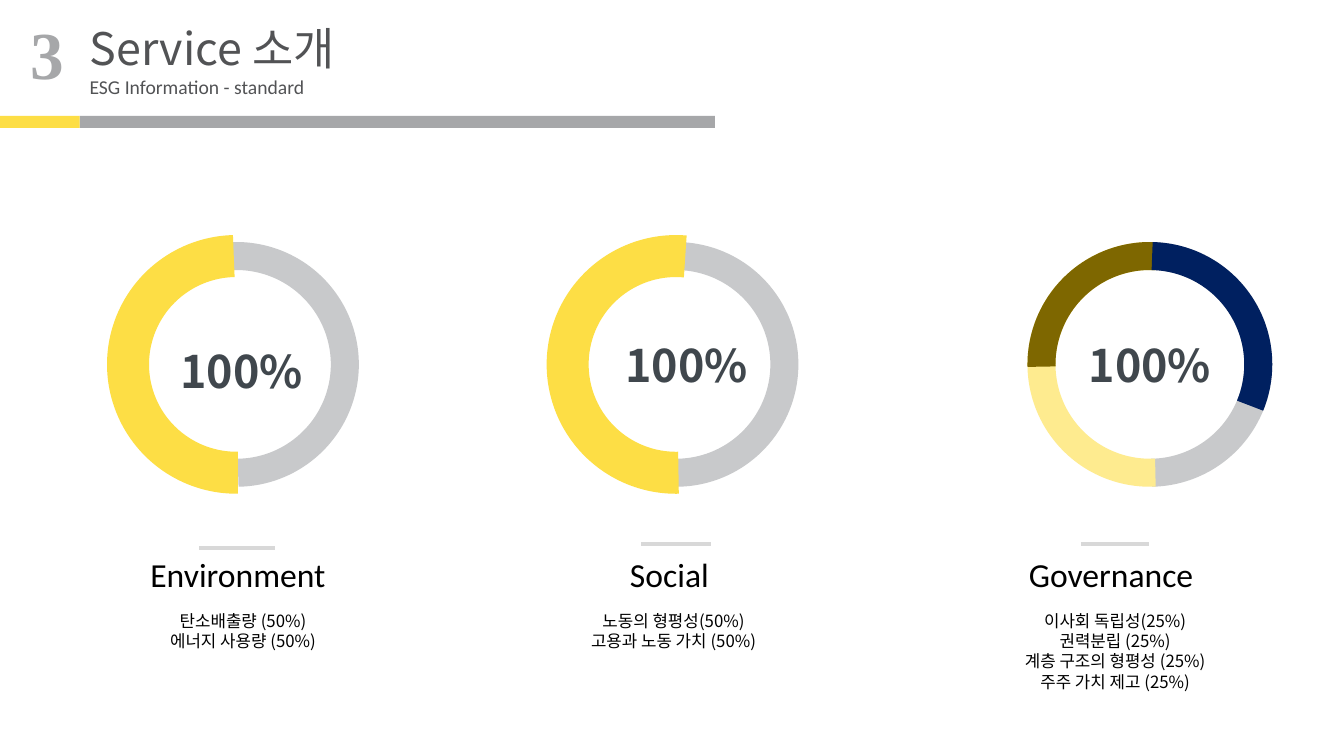
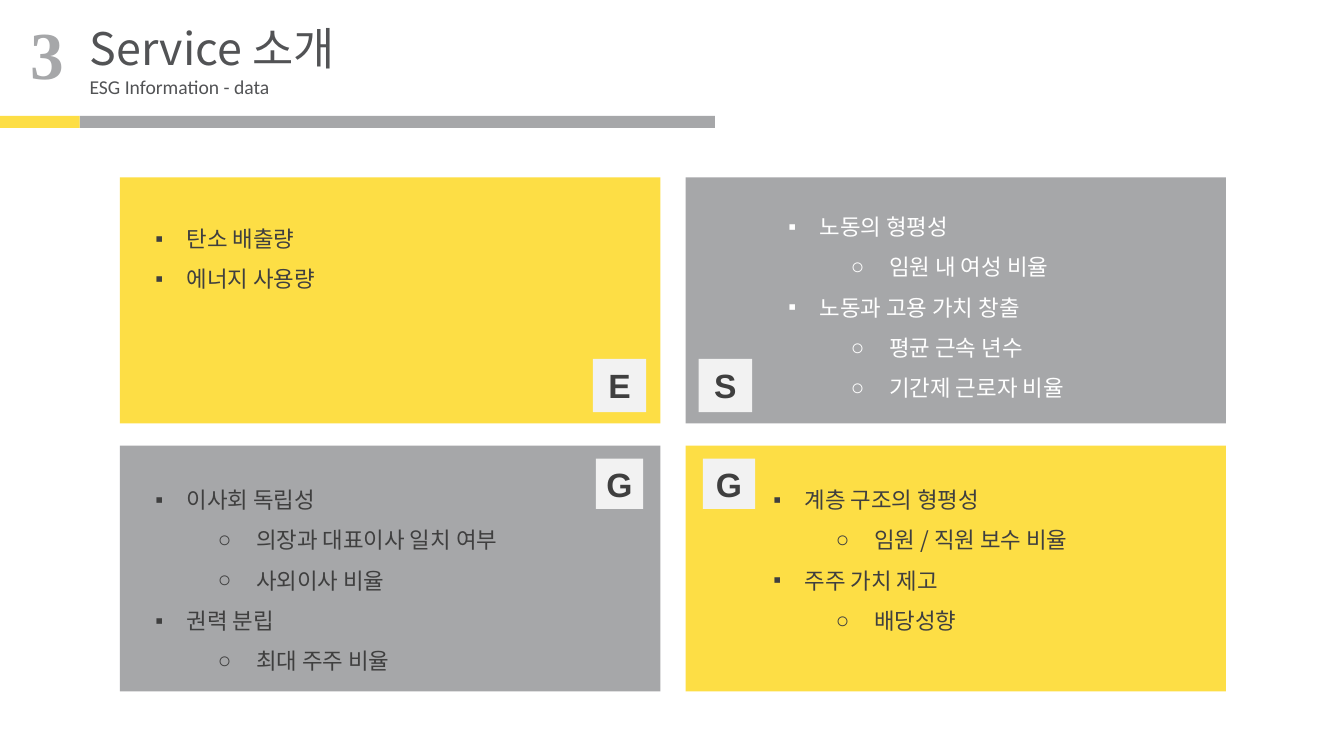
from pptx import Presentation, util as u
from pptx.dml.color import RGBColor
from pptx.enum import shapes, text
from pptx.oxml import ns
from lxml import etree

YELLOW = RGBColor(0xFD, 0xDE, 0x45)
CREAM = RGBColor(0xFE, 0xEB, 0x8F)
BROWN = RGBColor(0x7E, 0x67, 0x00)
NAVY = RGBColor(0x00, 0x20, 0x60)
GRAY = RGBColor(0xA6, 0xA7, 0xA9)
SILVER = RGBColor(0xC8, 0xC9, 0xCB)
DASH = RGBColor(0xD8, 0xD8, 0xD8)
PALE = RGBColor(0xF2, 0xF2, 0xF2)
TITLE = RGBColor(0x52, 0x53, 0x55)
PERCENT = RGBColor(0x40, 0x47, 0x4D)
DARK = RGBColor(0x3F, 0x3F, 0x3F)
BLACK = RGBColor(0, 0, 0)
WHITE = RGBColor(0xFF, 0xFF, 0xFF)

KOREAN, LATIN, SERIF, SANS = "Noto Sans CJK KR", "Calibri", "Times New Roman", "Arial"
COLS, ROWS = 133.3, 75
LEFT, CENTER = text.PP_ALIGN.LEFT, text.PP_ALIGN.CENTER
BULLETS = (("▪", 3.1, -3.1), ("○", 10, -3.8))


class Deck:
    """Holds the style, the grid and the current slide."""

    def __init__(self):
        self.prs = Presentation()
        self.prs.slide_width, self.prs.slide_height = u.Inches(13.33), u.Inches(7.5)

    def x(self, cols):
        return round(self.prs.slide_width * cols / COLS)

    def y(self, rows):
        return round(self.prs.slide_height * rows / ROWS)

    def box(self, x, y, w, h):
        return self.x(x), self.y(y), self.x(w), self.y(h)

    def place(self, sp, *at):
        sp.left, sp.top, sp.width, sp.height = self.box(*at)
        self.s.shapes.element.append(sp.element)

    def slide(self, subtitle):
        self.s = self.prs.slides.add_slide(self.prs.slide_layouts.get_by_name("Comparison"))
        self.bodies = []
        for ph in list(self.s.placeholders):
            kind = ph.placeholder_format.type
            if kind in (shapes.PP_PLACEHOLDER.BODY, shapes.PP_PLACEHOLDER.OBJECT):
                self.bodies.append(ph)
        self.rect(7.9, 11.5, 63, 1.2, GRAY)
        self.rect(0, 11.5, 7.9, 1.2, YELLOW)
        title = self.s.shapes.title
        self.place(title, 7.9, 1.5, 32.1, 6.4)
        self.set_text(title, "Service 소개", 32, KOREAN, TITLE)
        self.label(2, 0.7, 5.8, 9.1, "3", 48, SERIF, GRAY, bold=True)
        self.label(7.9, 6.9, 49.3, 3.4, subtitle, 14, LATIN, TITLE)

    def set_text(self, sp, words, size, font, color, bold=False, align=LEFT,
                 anchor=text.MSO_ANCHOR.MIDDLE):
        tf = sp.text_frame
        tf.text = words
        tf.word_wrap, tf.auto_size = True, text.MSO_AUTO_SIZE.NONE
        tf.vertical_anchor = anchor
        for p in tf.paragraphs:
            p.alignment, p.space_before = align, u.Pt(0)
            for r in p.runs:
                f = r.font
                f.size, f.name, f.bold = u.Pt(size), font, bold
                f.color.rgb = color
                ea = etree.SubElement(r._r.get_or_add_rPr(), ns.qn("a:ea"))
                ea.set("typeface", font)

    def label(self, x, y, w, h, *words, **style):
        self.set_text(self.s.shapes.add_textbox(*self.box(x, y, w, h)), *words, **style)

    def rect(self, x, y, w, h, color):
        sp = self.s.shapes.add_shape(shapes.MSO_SHAPE.RECTANGLE, *self.box(x, y, w, h))
        sp.shadow.inherit = False
        sp.fill.solid()
        sp.fill.fore_color.rgb = color
        sp.line.fill.background()
        return sp

    def badge(self, x, y, w, h, letter):
        sp = self.rect(x, y, w, h, PALE)
        tf = sp.text_frame
        tf.margin_left = tf.margin_right = 0
        self.set_text(sp, letter, 24, SANS, DARK, bold=True, align=CENTER)

    def arc(self, cx, cy, size, start, end, color, width):
        at = self.box(cx - size / 2, cy - size / 2, size, size)
        sp = self.s.shapes.add_shape(shapes.MSO_SHAPE.ARC, *at)
        sp.shadow.inherit = False
        sp.fill.background()
        sp.line.color.rgb, sp.line.width = color, u.Pt(width)
        for i, degrees in enumerate((start, end)):
            sp.adjustments[i] = degrees * 0.6

    def dash(self, cx, y, w):
        x1, x2 = self.x(cx - w / 2), self.x(cx + w / 2)
        line = self.s.shapes.add_connector(shapes.MSO_CONNECTOR.STRAIGHT,
                                           x1, self.y(y), x2, self.y(y))
        line.line.color.rgb, line.line.width = DASH, u.Pt(3)
        etree.SubElement(line.element.spPr, ns.qn("a:effectLst"))

    def body(self, x, y, w, h, lines, size, color, spacing, align=LEFT, levels=None):
        sp = self.bodies.pop(0)
        self.place(sp, x, y, w, h)
        self.set_text(sp, "\n".join(lines), size, KOREAN, color, align=align,
                      anchor=text.MSO_ANCHOR.TOP)
        for i, p in enumerate(sp.text_frame.paragraphs):
            p.line_spacing = u.Pt(spacing)
            pPr = p._p.get_or_add_pPr()
            margin = indent = 0
            if levels:
                p.level = levels[i]
                mark, margin, indent = BULLETS[levels[i]]
                etree.SubElement(pPr, ns.qn("a:buFont")).set("typeface", SANS)
                etree.SubElement(pPr, ns.qn("a:buChar")).set("char", mark)
            else:
                etree.SubElement(pPr, ns.qn("a:buNone"))
            pPr.set("marL", str(self.x(margin)))
            pPr.set("indent", str(self.x(indent)))

    def finish(self):
        for ph in self.bodies:
            ph.element.getparent().remove(ph.element)


def standard(d):
    d.slide("ESG Information - standard")
    topics = (
        ("Environment", 23.45, ((267.5, 89.1, SILVER, 20), (89.2, 268.6, YELLOW, 30)),
         (23.95, 36.8), 23.6, (23.5, 54.35, 7.5), 24.1,
         ("탄소배출량 (50%)", "에너지 사용량 (50%)")),
        ("Social", 67.05, ((271.2, 89.1, SILVER, 20), (88.7, 274.9, YELLOW, 30)),
         (68.1, 36.2), 66.4, (67.05, 54, 6.9), 66.8,
         ("노동의 형평성(50%)", "고용과 노동 가치 (50%)")),
        ("Governance", 114.05, ((271.2, 89.1, SILVER, 20), (87.1, 273.1, CREAM, 20),
                                (178.8, 273.1, BROWN, 20), (271.2, 22.4, NAVY, 20)),
         (114.05, 36.2), 110.2, (110.6, 54, 6.8), 110.6,
         ("이사회 독립성(25%)", "권력분립 (25%)", "계층 구조의 형평성 (25%)",
          "주주 가치 제고 (25%)")),
    )
    for name, ring, arcs, (px, py), head, dash, caption, lines in topics:
        for arc in arcs:
            d.arc(ring, 36.15, 21.5, *arc)
        d.label(px - 9, py - 3.2, 18, 6.4, "100%", 32, KOREAN, PERCENT, bold=True, align=CENTER)
        d.dash(*dash)
        d.label(head - 12.8, 54.5, 25.6, 5, name, 24, LATIN, BLACK, align=CENTER)
        d.body(caption - 10.6, 60.1, 21.2, 1 + 2 * len(lines), lines, 12, BLACK, 14.4, CENTER)
    d.finish()


def data(d):
    d.slide("ESG Information - data")
    cards = (
        (YELLOW, DARK, "E", (58.8, 35.6, 5.3, 5.3), (14.4, 20.5),
         ((0, "탄소 배출량"), (0, "에너지 사용량"))),
        (GRAY, WHITE, "S", (69.3, 35.6, 5.3, 5.3), (77.2, 19.3),
         ((0, "노동의 형평성"), (1, "임원 내 여성 비율"), (0, "노동과 고용 가치 창출"),
          (1, "평균 근속 년수"), (1, "기간제 근로자 비율"))),
        (GRAY, DARK, "G", (59.1, 45.5, 4.7, 5), (14.4, 46.4),
         ((0, "이사회 독립성"), (1, "의장과 대표이사 일치 여부"), (1, "사외이사 비율"),
          (0, "권력 분립"), (1, "최대 주주 비율"))),
        (YELLOW, DARK, "G", (69.7, 45.5, 5.2, 5), (75.7, 46.4),
         ((0, "계층 구조의 형평성"), (1, "임원 / 직원 보수 비율"), (0, "주주 가치 제고"),
          (1, "배당성향"))),
    )
    for i, (fill, ink, letter, badge, (x, y), items) in enumerate(cards):
        row, col = divmod(i, 2)
        d.rect(11.9 + 56.1 * col, 17.6 + 26.6 * row, 53.6, 24.4, fill)
        d.badge(*badge, letter)
        levels, lines = zip(*items)
        d.body(x, y, 43, 1 + 4 * len(lines), lines, 16, ink, 28.8, levels=levels)
    d.finish()


def main():
    d = Deck()
    standard(d)
    data(d)
    d.prs.save("out.pptx")


if __name__ == "__main__":
    main()
